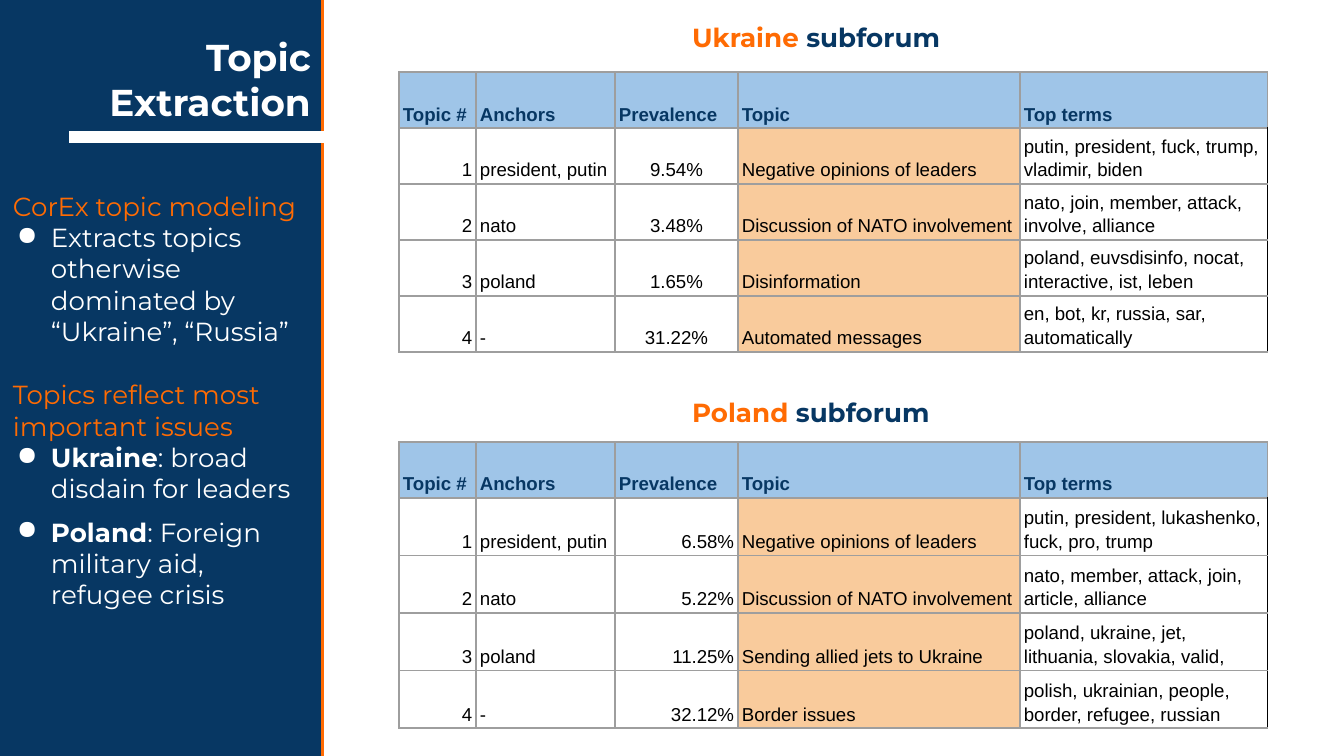
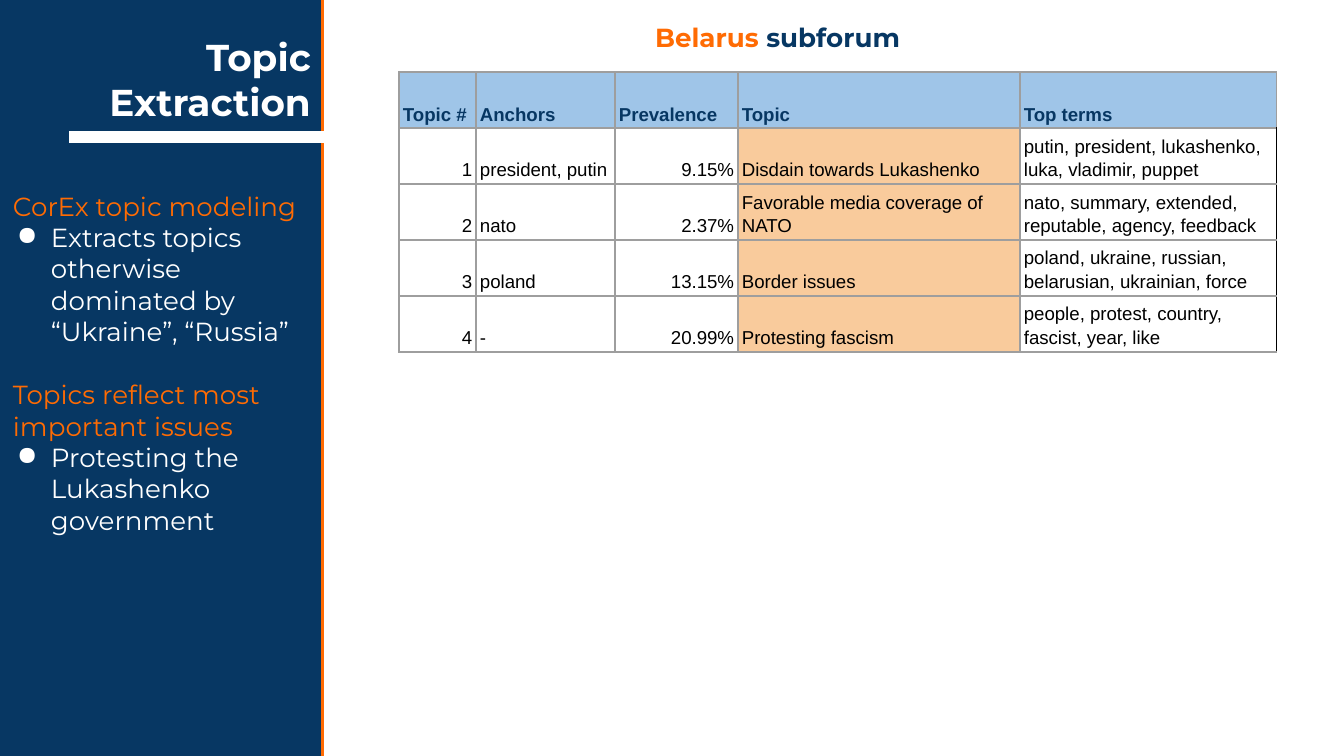
from lxml.etree import SubElement
from pptx import Presentation
from pptx.dml.color import RGBColor
from pptx.enum.shapes import MSO_CONNECTOR, MSO_SHAPE
from pptx.enum.text import MSO_ANCHOR, MSO_AUTO_SIZE, PP_ALIGN
from pptx.oxml.ns import qn
from pptx.util import Emu, Pt

NAVY, ORANGE, WHITE, BLACK = "073763", "FF6B03", "FFFFFF", "000000"
HEADER_FILL, TOPIC_FILL, GRID = "9FC5E8", "F9CB9C", "9E9E9E"
HEADING_FONT, TABLE_FONT = "Montserrat", "Arial"
HEADERS = ["Topic #", "Anchors", "Prevalence", "Topic", "Top terms"]
ANCHORS = ["president, putin", "nato", "poland", "-"]
COLUMNS = [77, 139, 123, 282]
TABLE_LEFT, HEADER_HEIGHT, TOPIC_COLUMN = 399, 56, 3


def px(length):
    return Emu(round(length * 914400 / 134.4))


def color(value):
    return RGBColor.from_string(value)


class Style:
    def __init__(self):
        self.deck = Presentation()
        self.deck.slide_width, self.deck.slide_height = px(1344), px(756)
        self.page = None

    def new_page(self):
        self.page = self.deck.slides.add_slide(self.deck.slide_layouts[6])
        self.panel(-4, -8, 327, 778)
        self.text(28, 71, 296, 66, [[("Topic Extraction", WHITE, True)]], size=20,
                  align=PP_ALIGN.RIGHT, anchor=MSO_ANCHOR.BOTTOM, grow=False)
        self.rule(336, 137, 69, 137)

    def panel(self, left, top, width, height):
        shape = self.page.shapes.add_shape(
            MSO_SHAPE.RECTANGLE, px(left), px(top), px(width), px(height))
        shape.shadow.inherit = False
        shape.fill.solid()
        shape.fill.fore_color.rgb = color(NAVY)
        shape.line.color.rgb = color(ORANGE)
        shape.line.width = Pt(1.5)

    def rule(self, x1, y1, x2, y2):
        line = self.page.shapes.add_connector(
            MSO_CONNECTOR.STRAIGHT, px(x1), px(y1), px(x2), px(y2))
        line.line.color.rgb = color(WHITE)
        line.line.width = Pt(6)
        SubElement(line._element.spPr, qn("a:effectLst"))

    def font(self, font, name, size, fill, bold):
        font.name, font.size, font.bold = name, Pt(size), bold
        font.color.rgb = color(fill)

    def bullet(self, para):
        properties = para._p.get_or_add_pPr()
        properties.set("marL", str(px(38)))
        properties.set("indent", str(px(-34)))
        tint = SubElement(properties, qn("a:buClr"))
        SubElement(tint, qn("a:srgbClr"), val=WHITE)
        SubElement(properties, qn("a:buChar"), char="●")

    def text(self, left, top, width, height, paragraphs, size=14, align=PP_ALIGN.LEFT,
             anchor=MSO_ANCHOR.TOP, grow=True, bullets=(), gaps=()):
        box = self.page.shapes.add_textbox(px(left), px(top), px(width), px(height))
        frame = box.text_frame
        frame.word_wrap = True
        frame.auto_size = MSO_AUTO_SIZE.SHAPE_TO_FIT_TEXT if grow else MSO_AUTO_SIZE.NONE
        frame.vertical_anchor = anchor
        frame.margin_left = frame.margin_right = px(13)
        frame.margin_top = frame.margin_bottom = px(13)
        for index, spans in enumerate(paragraphs):
            para = frame.paragraphs[0] if index == 0 else frame.add_paragraph()
            para.alignment = align
            if index in gaps:
                para.space_before = Pt(17)
            if index in bullets:
                self.bullet(para)
            for words, fill, bold in spans:
                span = para.add_run()
                span.text = words
                if len(spans) > 1:
                    self.font(span.font, HEADING_FONT, size, fill, bold)
            if len(spans) == 1:
                self.font(para.font, HEADING_FONT, size, *spans[0][1:])

    def heading(self, left, top, width, country):
        self.text(left, top, width, 59,
                  [[(country, ORANGE, True), (" subforum", NAVY, True)]])

    def notes(self, height, finding):
        self.text(0, 177, 323, height, [
            [("CorEx topic modeling", ORANGE, False)],
            [("Extracts topics otherwise dominated by “Ukraine”, “Russia”", WHITE, False)],
            [("Topics reflect most important issues", ORANGE, False)],
            finding,
        ], bullets=(1, 3), gaps=(2,))

    def cell(self, cell, words, bold, ink, fill, align, right_border):
        cell.margin_left = cell.margin_right = px(4)
        cell.margin_top = cell.margin_bottom = px(3)
        cell.vertical_anchor = MSO_ANCHOR.BOTTOM
        para = cell.text_frame.paragraphs[0]
        para.add_run().text = words
        para.alignment = align
        para.line_spacing = 1.15
        self.font(para.font, TABLE_FONT, 10, ink, bold)
        properties = cell._tc.get_or_add_tcPr()
        for side in "LRTB":
            border = SubElement(properties, qn(f"a:ln{side}"), w=str(Pt(0.75)))
            solid = SubElement(border, qn("a:solidFill"))
            SubElement(solid, qn("a:srgbClr"), val=right_border if side == "R" else GRID)
        if fill:
            cell.fill.solid()
            cell.fill.fore_color.rgb = color(fill)
        else:
            cell.fill.background()

    def table(self, top, topics, terms_width=248, row_height=56, share_align=PP_ALIGN.RIGHT):
        rows = [HEADERS] + [
            [str(number), anchors, *topic]
            for number, (anchors, topic) in enumerate(zip(ANCHORS, topics), 1)]
        widths = COLUMNS + [terms_width]
        heights = [HEADER_HEIGHT] + [row_height] * len(topics)
        table = self.page.shapes.add_table(
            len(rows), len(widths), px(TABLE_LEFT), px(top),
            px(sum(widths)), px(sum(heights))).table
        table.first_row = table.horz_banding = False
        for column, width in zip(table.columns, widths):
            column.width = px(width)
        aligns = {0: PP_ALIGN.RIGHT, 2: share_align}
        for r, row in enumerate(rows):
            table.rows[r].height = px(heights[r])
            for c, words in enumerate(row):
                if r == 0:
                    look = (True, NAVY, HEADER_FILL, PP_ALIGN.LEFT, GRID)
                else:
                    look = (False, BLACK, TOPIC_FILL if c == TOPIC_COLUMN else None,
                            aligns.get(c, PP_ALIGN.LEFT),
                            BLACK if c == len(widths) - 1 else GRID)
                self.cell(table.cell(r, c), words, *look)


def main():
    style = Style()

    style.new_page()
    style.table(72, [
        ("9.54%", "Negative opinions of leaders", "putin, president, fuck, trump, vladimir, biden"),
        ("3.48%", "Discussion of NATO involvement", "nato, join, member, attack, involve, alliance"),
        ("1.65%", "Disinformation", "poland, euvsdisinfo, nocat, interactive, ist, leben"),
        ("31.22%", "Automated messages", "en, bot, kr, russia, sar, automatically"),
    ], share_align=PP_ALIGN.CENTER)
    style.heading(679, 8, 288, "Ukraine")
    style.table(442, [
        ("6.58%", "Negative opinions of leaders", "putin, president, lukashenko, fuck, pro, trump"),
        ("5.22%", "Discussion of NATO involvement", "nato, member, attack, join, article, alliance"),
        ("11.25%", "Sending allied jets to Ukraine", "poland, ukraine, jet, lithuania, slovakia, valid,"),
        ("32.12%", "Border issues", "polish, ukrainian, people, border, refugee, russian"),
    ], row_height=57)
    style.heading(679, 383, 288, "Poland")
    style.notes(344, [("Ukraine", WHITE, True), (": broad disdain for leaders", WHITE, False)])
    style.text(0, 503, 323, 122, [
        [("Poland", WHITE, True), (": Foreign military aid, refugee crisis", WHITE, False)],
    ], bullets=(0,))

    style.new_page()
    style.table(72, [
        ("9.15%", "Disdain towards Lukashenko", "putin, president, lukashenko, luka, vladimir, puppet"),
        ("2.37%", "Favorable media coverage of NATO", "nato, summary, extended, reputable, agency, feedback"),
        ("13.15%", "Border issues", "poland, ukraine, russian, belarusian, ukrainian, force"),
        ("20.99%", "Protesting fascism", "people, protest, country, fascist, year, like"),
    ], terms_width=257)
    style.heading(642, 8, 362, "Belarus")
    style.notes(375, [("Protesting the Lukashenko government", WHITE, False)])

    style.deck.save("out.pptx")


if __name__ == "__main__":
    main()
